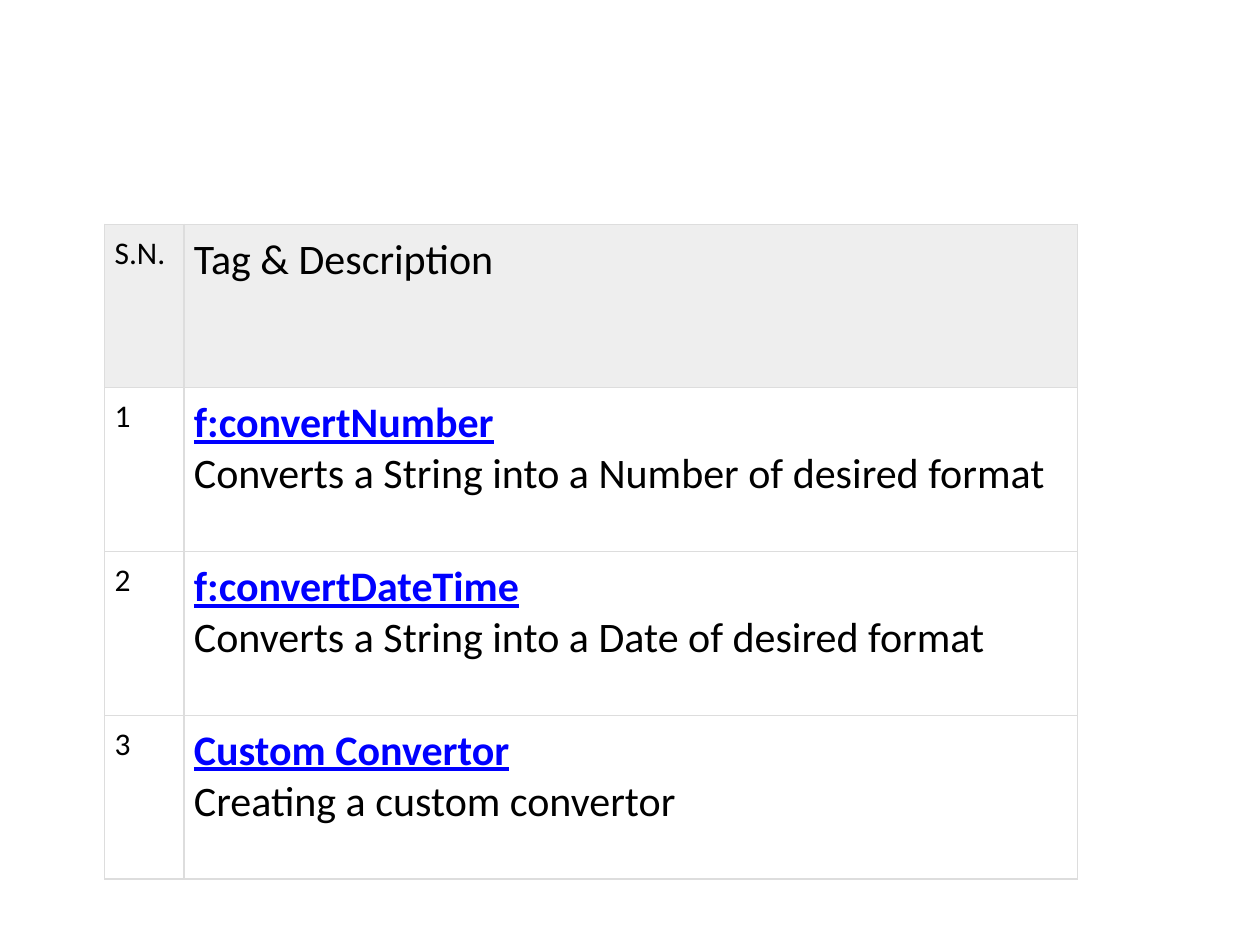
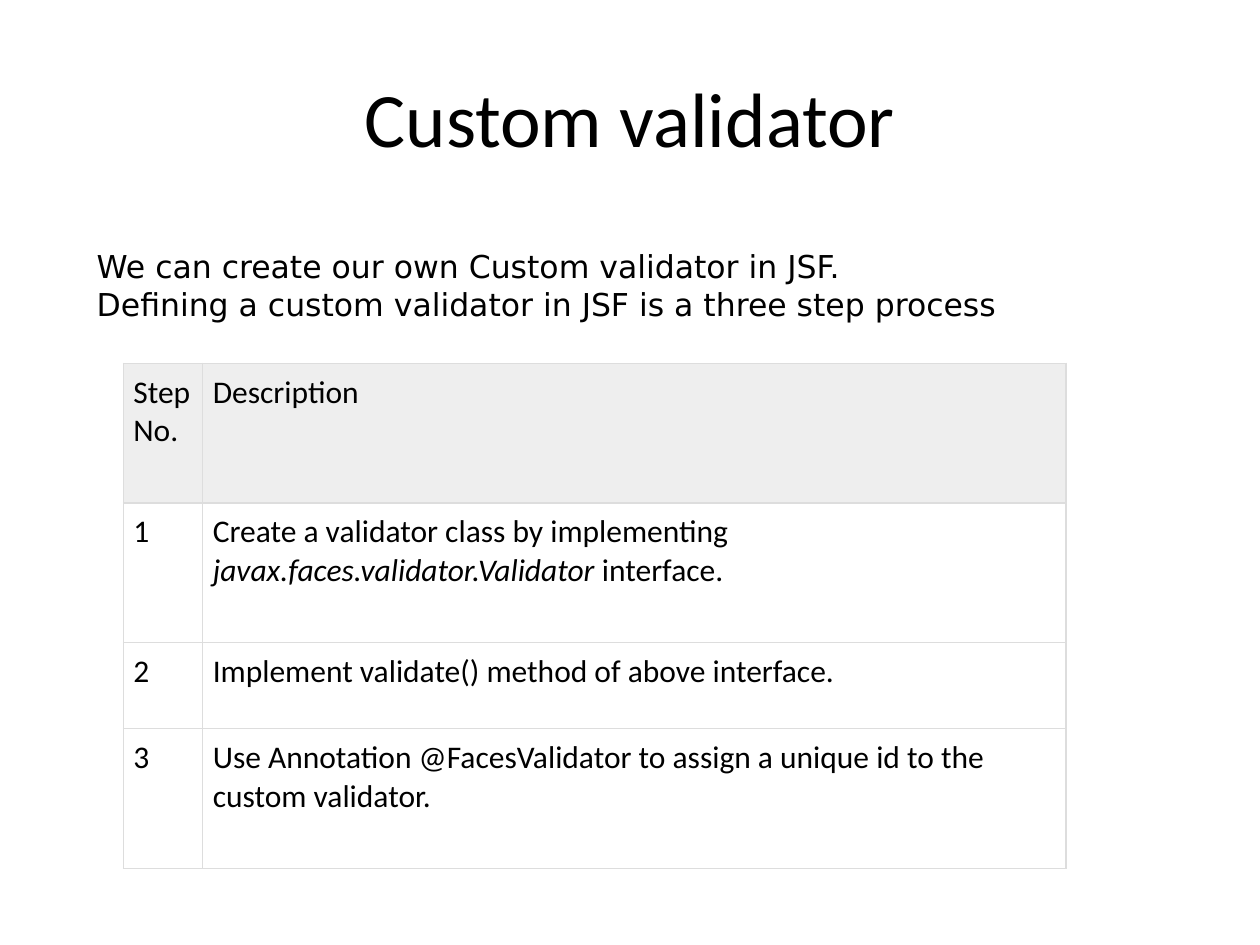
"""Build two slides about converter tags and custom validators in JSF."""
from dataclasses import dataclass

from lxml import etree
from pptx import Presentation
from pptx.dml.color import RGBColor
from pptx.enum.text import MSO_ANCHOR, PP_ALIGN
from pptx.oxml.ns import qn
from pptx.util import Cm, Pt

BLACK = RGBColor(0x00, 0x00, 0x00)
LINK_BLUE = RGBColor(0x00, 0x00, 0xFF)
HEADER_GREY = RGBColor(0xEE, 0xEE, 0xEE)
BORDER_GREY = RGBColor(0xDD, 0xDD, 0xDD)
BODY_FONT = "Calibri"
INTRO_FONT = "DejaVu Sans"
LEFT = PP_ALIGN.LEFT
CENTER = PP_ALIGN.CENTER
JUSTIFY = PP_ALIGN.JUSTIFY
MIDDLE = MSO_ANCHOR.MIDDLE
TITLE_ONLY_LAYOUT = 5
BLANK_LAYOUT = 6
CELL_MARGIN = Cm(0.2)
BORDER_WIDTH = Pt(0.75)


@dataclass(frozen=True)
class Span:
    text: str
    size: float = 18
    color: RGBColor = BLACK
    bold: bool = False
    italic: bool = False
    underline: bool = False
    font: str = BODY_FONT


@dataclass(frozen=True)
class Para:
    spans: tuple[Span, ...]
    align: PP_ALIGN = LEFT


@dataclass(frozen=True)
class Grid:
    left: float
    top: float
    column_widths: tuple[float, ...]
    row_heights: tuple[float, ...]
    rows: list[tuple[list[Para], ...]]


def plain(text: str, size: float = 18) -> list[Para]:
    """Return one left-aligned paragraph of plain text."""
    return [Para((Span(text, size),))]


def tag_entry(tag: str, description: str) -> list[Para]:
    """Return a blue underlined tag above its description."""
    return [
        Para((Span(tag, 24, LINK_BLUE, bold=True, underline=True),), JUSTIFY),
        Para((Span(description, 24),), JUSTIFY),
    ]


def write_paras(frame, paras: list[Para]) -> None:
    """Fill a text frame run by run."""
    for index, para in enumerate(paras):
        paragraph = frame.add_paragraph() if index else frame.paragraphs[0]
        paragraph.alignment = para.align
        for span in para.spans:
            run = paragraph.add_run()
            run.text = span.text
            font = run.font
            font.name = span.font
            font.size = Pt(span.size)
            font.bold = span.bold
            font.italic = span.italic
            font.underline = span.underline
            font.color.rgb = span.color


def add_borders(cell) -> None:
    """Draw a thin grey line on all four sides of a cell."""
    properties = cell._tc.get_or_add_tcPr()
    for side in ("a:lnL", "a:lnR", "a:lnT", "a:lnB"):
        line = etree.SubElement(properties, qn(side), w=str(int(BORDER_WIDTH)))
        fill = etree.SubElement(line, qn("a:solidFill"))
        etree.SubElement(fill, qn("a:srgbClr"), val=str(BORDER_GREY))


def draw_grid(page, grid: Grid) -> None:
    """Draw a bordered table with a grey header row."""
    table = page.shapes.add_table(
        len(grid.rows), len(grid.column_widths),
        Cm(grid.left), Cm(grid.top),
        Cm(sum(grid.column_widths)), Cm(sum(grid.row_heights)),
    ).table
    table.first_row = False
    table.horz_banding = False
    for column, width in zip(table.columns, grid.column_widths):
        column.width = Cm(width)
    for row, height in zip(table.rows, grid.row_heights):
        row.height = Cm(height)
    for row_index, row_content in enumerate(grid.rows):
        for column_index, paras in enumerate(row_content):
            cell = table.cell(row_index, column_index)
            cell.margin_left = cell.margin_right = CELL_MARGIN
            cell.margin_top = cell.margin_bottom = CELL_MARGIN
            add_borders(cell)
            if row_index == 0:
                cell.fill.solid()
                cell.fill.fore_color.rgb = HEADER_GREY
            else:
                cell.fill.background()
            write_paras(cell.text_frame, paras)


def numbered(header: tuple[list[Para], ...], entries: list[list[Para]]) -> list[tuple[list[Para], ...]]:
    """Return a header row followed by entries numbered from one."""
    return [header] + [(plain(str(number)), entry) for number, entry in enumerate(entries, 1)]


def build_converter_page(deck) -> None:
    """Add the slide listing the converter tags."""
    page = deck.slides.add_slide(deck.slide_layouts[BLANK_LAYOUT])
    entries = [
        tag_entry("f:convertNumber", "Converts a String into a Number of desired format"),
        tag_entry("f:convertDateTime", "Converts a String into a Date of desired format"),
        tag_entry("Custom Convertor", "Creating a custom convertor"),
    ]
    header = (plain("S.N."), plain("Tag & Description", 24))
    draw_grid(page, Grid(2.11, 4.52, (1.6, 18.01), (3.3,) * 4, numbered(header, entries)))


def build_validator_page(deck) -> None:
    """Add the slide with the steps for a custom validator."""
    page = deck.slides.add_slide(deck.slide_layouts[TITLE_ONLY_LAYOUT])
    title = page.shapes.title
    title.left, title.top, title.width, title.height = Cm(1.27), Cm(0.76), Cm(22.86), Cm(3.18)
    title.text_frame.vertical_anchor = MIDDLE
    write_paras(title.text_frame, [Para((Span("Custom validator", 44),), CENTER)])

    entries = [
        [Para((
            Span("Create a validator class by implementing "),
            Span("javax.faces.validator.Validator ", italic=True),
            Span("interface."),
        ))],
        plain("Implement validate() method of above interface."),
        plain("Use Annotation @FacesValidator to assign a unique id to the custom validator."),
    ]
    header = (plain("Step No."), plain("Description"))
    heights = (2.82, 2.82, 1.73, 2.82)
    draw_grid(page, Grid(2.49, 7.32, (1.6, 17.4), heights, numbered(header, entries)))

    intro = page.shapes.add_textbox(Cm(1.7), Cm(4.85), Cm(20.8), Cm(1.8)).text_frame
    intro.word_wrap = True
    intro.vertical_anchor = MIDDLE
    write_paras(intro, [
        Para((Span(text, font=INTRO_FONT),), JUSTIFY)
        for text in (
            "We can create our own Custom validator in JSF.",
            "Defining a custom validator in JSF is a three step process",
        )
    ])


def main() -> None:
    """Build and save the deck."""
    deck = Presentation()
    deck.slide_width, deck.slide_height = Cm(25.4), Cm(19.05)
    build_converter_page(deck)
    build_validator_page(deck)
    deck.save("out.pptx")


if __name__ == "__main__":
    main()
